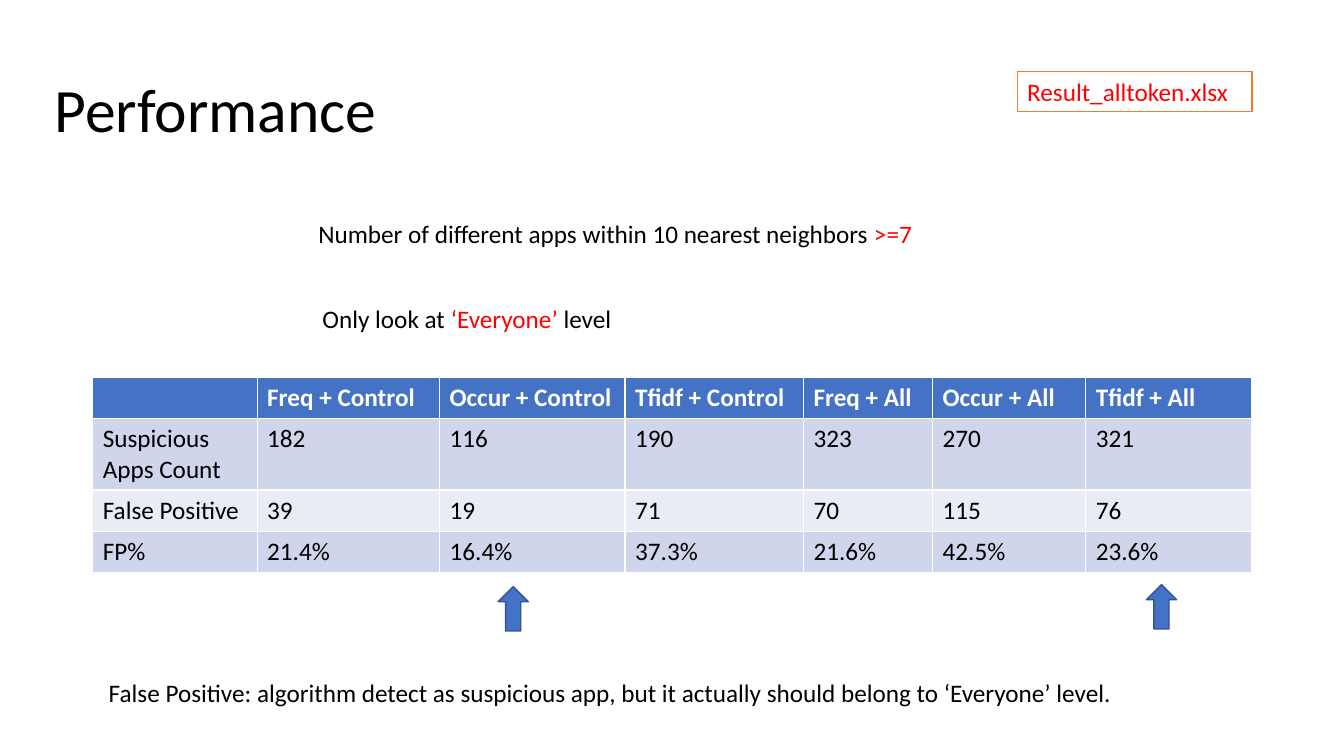
from dataclasses import dataclass

from pptx import Presentation
from pptx.dml.color import RGBColor
from pptx.enum.shapes import MSO_SHAPE
from pptx.enum.text import MSO_ANCHOR, PP_ALIGN
from pptx.shapes.autoshape import Shape
from pptx.slide import Slide
from pptx.text.text import TextFrame
from pptx.util import Pt

PX = 9144  # 100 px to the inch
BLACK = RGBColor(0x00, 0x00, 0x00)
WHITE = RGBColor(0xFF, 0xFF, 0xFF)
RED = RGBColor(0xFF, 0x00, 0x00)
BLUE = RGBColor(0x44, 0x72, 0xC4)
NAVY = RGBColor(0x32, 0x54, 0x91)
ORANGE = RGBColor(0xED, 0x7D, 0x31)
BANDS = (RGBColor(0xE9, 0xEB, 0xF5), RGBColor(0xCF, 0xD5, 0xEA))


@dataclass(frozen=True)
class Box:
    left: int
    top: int
    width: int
    height: int

    def emu(self) -> tuple[int, ...]:
        return tuple(n * PX for n in (self.left, self.top, self.width, self.height))


@dataclass(frozen=True)
class Note:
    box: Box
    runs: tuple[tuple[str, RGBColor], ...]


NOTES = (
    Note(Box(306, 212, 626, 40),
         (("Number of different apps within 10 nearest neighbors ", BLACK), (">=7", RED))),
    Note(Box(310, 296, 310, 40),
         (("Only look at ", BLACK), ("‘Everyone’ ", RED), ("level", BLACK))),
    Note(Box(98, 667, 1039, 40),
         (("False Positive: algorithm detect as suspicious app, "
           "but it actually should belong to ‘Everyone’ level.", BLACK),)),
)
ARROWS = (Box(494, 582, 30, 44), Box(1137, 580, 30, 44))
GRID = Box(92, 374, 1149, 193)
COLS = (163, 181, 184, 177, 128, 152, 164)
ROWS = (41, 70, 41, 41)
CELLS = (
    ("", "Freq + Control", "Occur + Control", "Tfidf + Control",
     "Freq + All", "Occur + All", "Tfidf + All"),
    ("Suspicious Apps Count", "182", "116", "190", "323", "270", "321"),
    ("False Positive", "39", "19", "71", "70", "115", "76"),
    ("FP%", "21.4%", "16.4%", "37.3%", "21.6%", "42.5%", "23.6%"),
)


def write(frame: TextFrame, text: str, *, size: int = 18,
          color: RGBColor = BLACK, bold: bool = False) -> None:
    """Add one left-aligned run to the first paragraph."""
    para = frame.paragraphs[0]
    para.alignment = PP_ALIGN.LEFT
    run = para.add_run()
    run.text = text
    font = run.font
    font.name, font.size, font.bold = "Calibri", Pt(size), bold
    font.color.rgb = color


def add_title(slide: Slide) -> None:
    title = slide.shapes.title
    title.left, title.top, title.width, title.height = Box(44, 39, 1150, 145).emu()
    frame = title.text_frame
    frame.vertical_anchor = MSO_ANCHOR.MIDDLE
    write(frame, "Performance", size=44)
    frame.paragraphs[0].line_spacing = 0.9


def add_note(slide: Slide, note: Note) -> None:
    frame = slide.shapes.add_textbox(*note.box.emu()).text_frame
    frame.word_wrap = True
    for text, color in note.runs:
        write(frame, text, color=color)


def add_shape(slide: Slide, kind: MSO_SHAPE, box: Box,
              fill: RGBColor, line: RGBColor) -> Shape:
    shape = slide.shapes.add_shape(kind, *box.emu())
    shape.shadow.inherit = False
    shape.fill.solid()
    shape.fill.fore_color.rgb = fill
    shape.line.color.rgb = line
    shape.line.width = Pt(1)
    return shape


def add_grid(slide: Slide) -> None:
    table = slide.shapes.add_table(len(ROWS), len(COLS), *GRID.emu()).table
    for col, width in zip(table.columns, COLS):
        col.width = width * PX
    for row, height in zip(table.rows, ROWS):
        row.height = height * PX
    for r, texts in enumerate(CELLS):
        head = r == 0
        for c, text in enumerate(texts):
            cell = table.cell(r, c)
            cell.fill.solid()
            cell.fill.fore_color.rgb = BLUE if head else BANDS[r % 2]
            if text:
                write(cell.text_frame, text, color=WHITE if head else BLACK, bold=head)


def main() -> None:
    deck = Presentation()
    deck.slide_width, deck.slide_height = 1333 * PX, 750 * PX
    slide = deck.slides.add_slide(deck.slide_layouts[5])
    add_title(slide)
    add_grid(slide)
    for note in NOTES:
        add_note(slide, note)
    for box in ARROWS:
        add_shape(slide, MSO_SHAPE.UP_ARROW, box, BLUE, NAVY)
    label = add_shape(slide, MSO_SHAPE.RECTANGLE, Box(1009, 71, 233, 40), WHITE, ORANGE)
    label.text_frame.vertical_anchor = MSO_ANCHOR.TOP
    write(label.text_frame, "Result_alltoken.xlsx", color=RED)
    deck.save("out.pptx")


if __name__ == "__main__":
    main()
